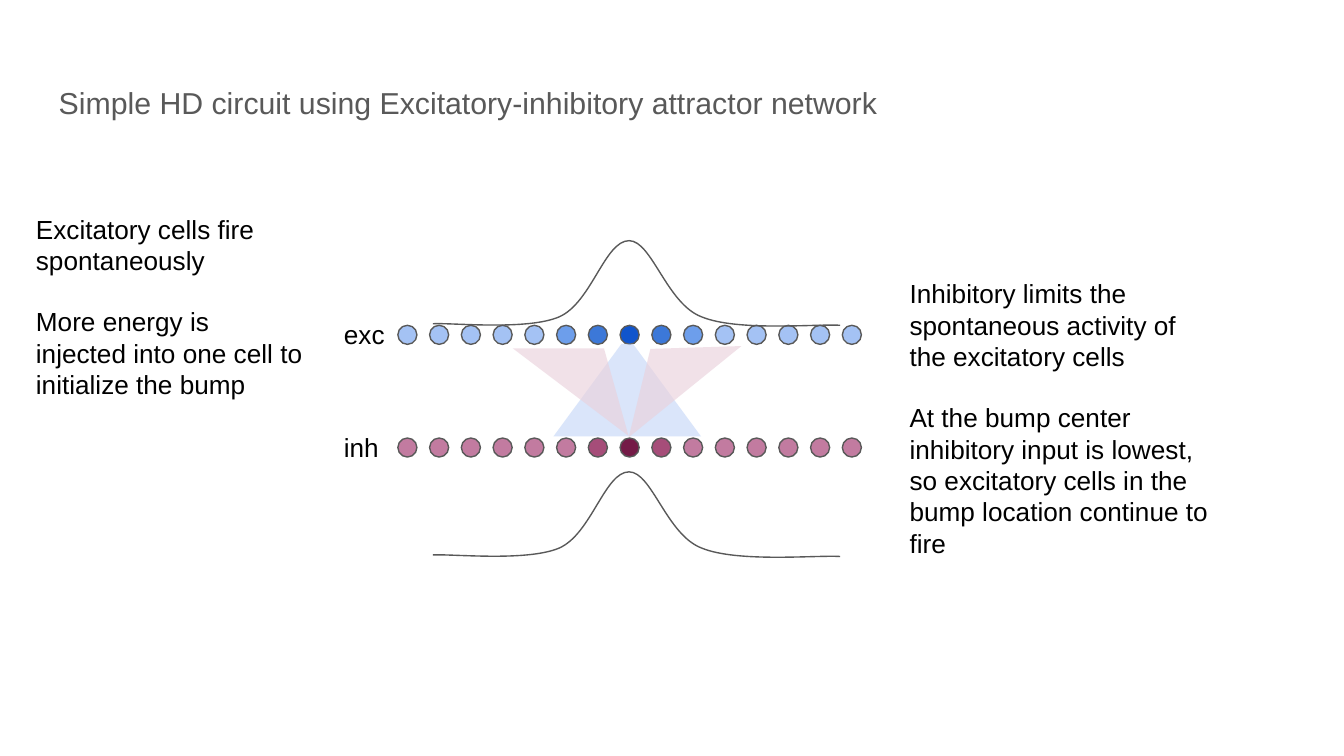
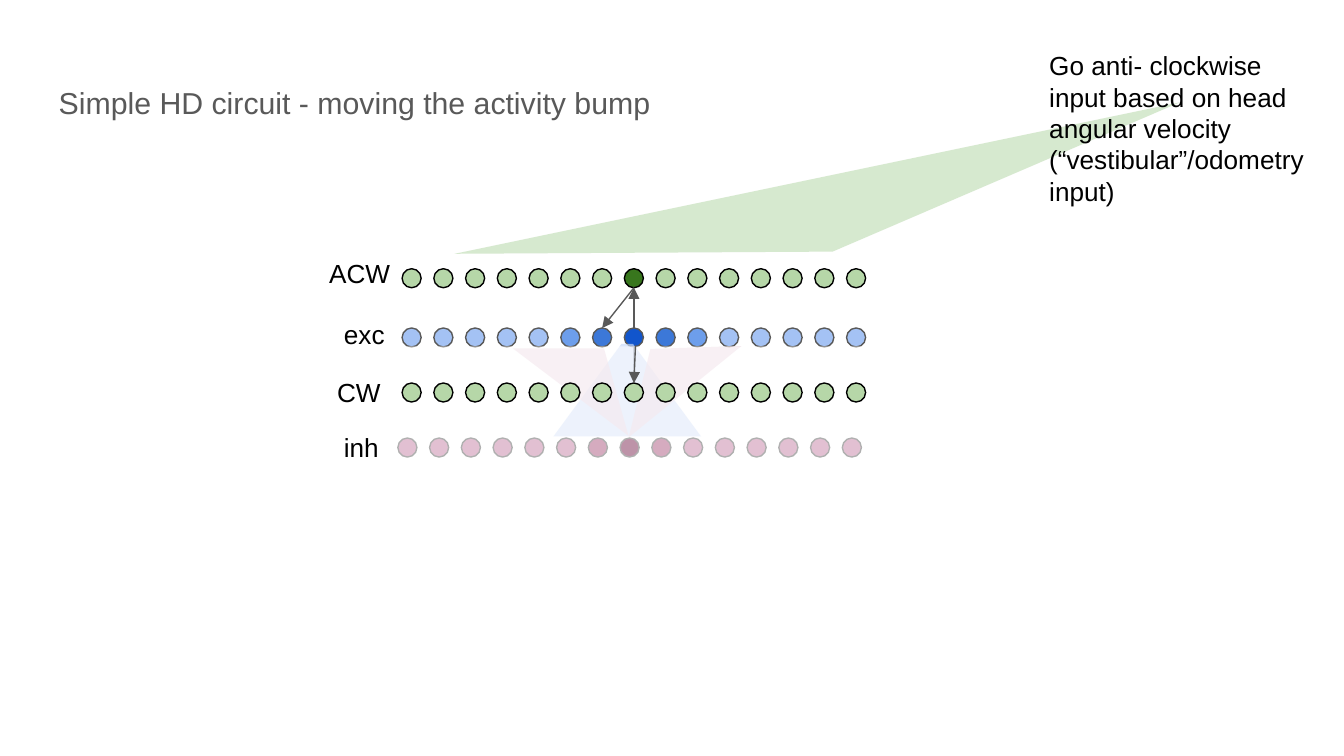
from dataclasses import dataclass

from lxml.etree import SubElement
from pptx import Presentation
from pptx.dml.color import RGBColor
from pptx.enum.shapes import MSO_CONNECTOR, MSO_SHAPE
from pptx.enum.text import MSO_ANCHOR, MSO_AUTO_SIZE, PP_ALIGN
from pptx.oxml.ns import qn
from pptx.util import Cm, Pt

FONT = "Arial"
BLACK, GREY, WHITE = "000000", "595959", "FFFFFF"
PALE_BLUE, PALE_PINK, GREEN, DARK_GREEN = "C9DAF8", "EAD1DC", "B6D7A8", "38761D"

CELL_COUNT = 15
CENTER = CELL_COUNT // 2
CELL_SIZE, CELL_PITCH = 0.36, 0.6

# Bump outline: start point, then three points for each curve; y counts from the peak
BUMP = [(8.18, 1.57),
        (8.56, 1.55), (9.96, 1.7), (10.57, 1.44),
        (11.18, 1.17), (11.43, 0), (11.89, 0),
        (12.32, 0), (12.6, 1.19), (13.26, 1.44),
        (13.94, 1.72), (15.44, 1.57), (15.88, 1.6)]
BUMP_HEIGHT = 1.6


@dataclass(frozen=True)
class Box:
    left: float
    top: float
    width: float
    height: float

    def lengths(self) -> tuple:
        return Cm(self.left), Cm(self.top), Cm(self.width), Cm(self.height)


@dataclass(frozen=True)
class CellRow:
    """A row of cells; shades run from the center cell outwards."""
    left: float
    top: float
    shades: tuple
    outline: str = GREY

    def middle(self, index: int) -> float:
        return self.left + index * CELL_PITCH + CELL_SIZE / 2

    @property
    def bottom(self) -> float:
        return self.top + CELL_SIZE


@dataclass(frozen=True)
class Projection:
    """A translucent area showing where activity is sent."""
    kind: MSO_SHAPE
    box: Box
    color: str
    opacity: int
    rotation: float = 0
    adjustment: float | None = None


EXC_SHADES = ("1155CC", "3C78D8", "6D9EEB", "A4C2F4")
INH_SHADES = ("741B47", "A64D79", "C27BA0")
INH_ROW = CellRow(7.52, 8.28, INH_SHADES)

RING_PROJECTIONS = (
    Projection(MSO_SHAPE.TRAPEZOID, Box(10.46, 6.5, 2.79, 1.75), PALE_BLUE, 68, adjustment=0.735),
    Projection(MSO_SHAPE.ISOSCELES_TRIANGLE, Box(11.25, 6.48, 2.74, 1.04), PALE_PINK, 64, 321),
    Projection(MSO_SHAPE.ISOSCELES_TRIANGLE, Box(9.73, 6.48, 2.74, 1.04), PALE_PINK, 64, 37.1),
)
VELOCITY_INPUT = Projection(MSO_SHAPE.ISOSCELES_TRIANGLE, Box(8.59, 3.35, 14, 1.42),
                            GREEN, 55, 168.2)
VEIL = Projection(MSO_SHAPE.RECTANGLE, Box(7.34, 6.55, 10.72, 2.84), WHITE, 53)


def rgb(value: str) -> RGBColor:
    return RGBColor.from_string(value)


def set_outline(shape, color: str = GREY) -> None:
    shape.line.color.rgb = rgb(color)
    shape.line.width = Pt(0.75)


def write(frame, *paragraphs: str, size: float = 14, color: str = BLACK,
          line_spacing: float = 1.0, gap: float = 16,
          auto_size=MSO_AUTO_SIZE.SHAPE_TO_FIT_TEXT) -> None:
    frame.word_wrap = True
    frame.auto_size = auto_size
    frame.vertical_anchor = MSO_ANCHOR.TOP
    frame.margin_left = frame.margin_right = Cm(0.25)
    frame.margin_top = frame.margin_bottom = Cm(0.25)
    for index, text in enumerate(paragraphs):
        paragraph = frame.add_paragraph() if index else frame.paragraphs[0]
        paragraph.alignment = PP_ALIGN.LEFT
        paragraph.line_spacing = line_spacing
        paragraph.space_before = Pt(gap if index else 0)
        run = paragraph.add_run()
        run.text = text
        run.font.name = FONT
        run.font.size = Pt(size)
        run.font.color.rgb = rgb(color)


def add_titled_slide(deck, text: str):
    slide = deck.slides.add_slide(deck.slide_layouts[5])
    title = slide.shapes.title
    title.left, title.top, title.width, title.height = Box(0.86, 1.24, 23.67, 1.6).lengths()
    write(title.text_frame, text, size=16.2, color=GREY, line_spacing=1.15,
          auto_size=MSO_AUTO_SIZE.NONE)
    return slide


def add_note(slide, box: Box, *paragraphs: str) -> None:
    write(slide.shapes.add_textbox(*box.lengths()).text_frame, *paragraphs)


def add_row_label(slide, text: str, left: float, top: float, width: float = 1.47) -> None:
    add_note(slide, Box(left, top, width, 1.12), text)


def add_cells(slide, row: CellRow) -> list:
    group = slide.shapes.add_group_shape()
    cells = []
    for index in range(CELL_COUNT):
        box = Box(row.left + index * CELL_PITCH, row.top, CELL_SIZE, CELL_SIZE)
        cell = group.shapes.add_shape(MSO_SHAPE.OVAL, *box.lengths())
        cell.shadow.inherit = False
        shade = row.shades[min(abs(index - CENTER), len(row.shades) - 1)]
        cell.fill.solid()
        cell.fill.fore_color.rgb = rgb(shade)
        set_outline(cell, row.outline)
        cells.append(cell)
    return cells


def add_projection(slide, projection: Projection) -> None:
    area = slide.shapes.add_shape(projection.kind, *projection.box.lengths())
    area.shadow.inherit = False
    area.rotation = projection.rotation
    if projection.adjustment is not None:
        area.adjustments[0] = projection.adjustment
    area.line.fill.background()
    area.fill.solid()
    area.fill.fore_color.rgb = rgb(projection.color)
    color = area.fill._xPr.find(qn("a:solidFill"))[0]
    SubElement(color, qn("a:alpha"), val=str(projection.opacity * 1000))


def add_bump(slide, peak: float) -> None:
    points = [(Cm(x), Cm(peak + y)) for x, y in BUMP]
    builder = slide.shapes.build_freeform(*points[0])
    builder.add_line_segments(points[1:], close=False)
    bump = builder.convert_to_shape()
    bump.shadow.inherit = False
    bump.fill.background()
    set_outline(bump)
    # Turn every three line segments into one cubic curve
    outline = next(bump._element.iter(qn("a:path")))
    segments = outline.findall(qn("a:lnTo"))
    for first in range(0, len(segments), 3):
        curve = SubElement(outline, qn("a:cubicBezTo"))
        for segment in segments[first:first + 3]:
            curve.append(segment[0])
            outline.remove(segment)
    # The curve stays above its lowest control points
    bump.height = Cm(BUMP_HEIGHT)
    outline.set("h", str(Cm(BUMP_HEIGHT)))


def add_arrow(slide, start: tuple, end: tuple, from_top_of=None, to_top_of=None) -> None:
    arrow = slide.shapes.add_connector(MSO_CONNECTOR.STRAIGHT, *map(Cm, start + end))
    if from_top_of is not None:
        arrow.begin_connect(from_top_of, 0)
    if to_top_of is not None:
        arrow.end_connect(to_top_of, 0)
    set_outline(arrow)
    SubElement(arrow.line._get_or_add_ln(), qn("a:tailEnd"), type="triangle")
    SubElement(arrow._element.spPr, qn("a:effectLst"))


def add_ring_labels(slide) -> None:
    add_row_label(slide, "exc", 6.25, 5.77)
    add_row_label(slide, "inh", 6.25, 7.9)


def build_attractor_slide(deck) -> None:
    slide = add_titled_slide(
        deck, "Simple HD circuit using Excitatory-inhibitory attractor network")
    add_cells(slide, CellRow(7.52, 6.15, EXC_SHADES))
    add_cells(slide, INH_ROW)
    for projection in RING_PROJECTIONS:
        add_projection(slide, projection)
    for peak in (4.55, 8.92):
        add_bump(slide, peak)
    add_note(slide, Box(16.94, 5, 6.15, 5.89),
             "Inhibitory limits the spontaneous activity of the excitatory cells",
             "At the bump center inhibitory input is lowest, so excitatory cells "
             "in the bump location continue to fire")
    add_note(slide, Box(0.43, 3.78, 5.61, 4.11),
             "Excitatory cells fire spontaneously",
             "More energy is injected into one cell to initialize the bump")
    add_ring_labels(slide)


def build_moving_slide(deck) -> None:
    slide = add_titled_slide(deck, "Simple HD circuit - moving the activity bump")
    acw_row = CellRow(7.6, 5.08, (DARK_GREEN, GREEN), BLACK)
    exc_row = CellRow(7.6, 6.2, EXC_SHADES)
    cw_row = CellRow(7.6, 7.24, (GREEN,), BLACK)
    middle = exc_row.middle(CENTER)
    acw_bottom, exc_bottom = (middle, acw_row.bottom), (middle, exc_row.bottom)
    exc_top, cw_top = (middle, exc_row.top), (middle, cw_row.top)

    # Cells and the links between the rows
    add_cells(slide, acw_row)
    exc_cells = add_cells(slide, exc_row)
    add_arrow(slide, acw_bottom, (exc_row.middle(CENTER - 1), exc_row.top),
              to_top_of=exc_cells[CENTER - 1])
    add_arrow(slide, exc_top, acw_bottom, from_top_of=exc_cells[CENTER])
    add_arrow(slide, exc_bottom, cw_top)
    add_cells(slide, INH_ROW)
    for projection in RING_PROJECTIONS:
        add_projection(slide, projection)

    # Labels and velocity input
    add_ring_labels(slide)
    add_row_label(slide, "CW", 6.12, 6.86)
    add_row_label(slide, "ACW", 5.97, 4.62, width=1.78)
    add_projection(slide, VELOCITY_INPUT)
    add_note(slide, Box(19.58, 0.69, 5.51, 3.51),
             "Go anti- clockwise input based on head angular velocity "
             "(“vestibular”/odometry input)")

    # Faded inhibitory ring with the clockwise row on top
    add_projection(slide, VEIL)
    cw_cells = add_cells(slide, cw_row)
    add_arrow(slide, (middle + 0.03, exc_row.bottom - 0.03), cw_top,
              to_top_of=cw_cells[CENTER])


def main() -> None:
    deck = Presentation()
    deck.slide_width, deck.slide_height = Cm(25.4), Cm(14.29)
    build_attractor_slide(deck)
    build_moving_slide(deck)
    deck.save("out.pptx")


if __name__ == "__main__":
    main()
